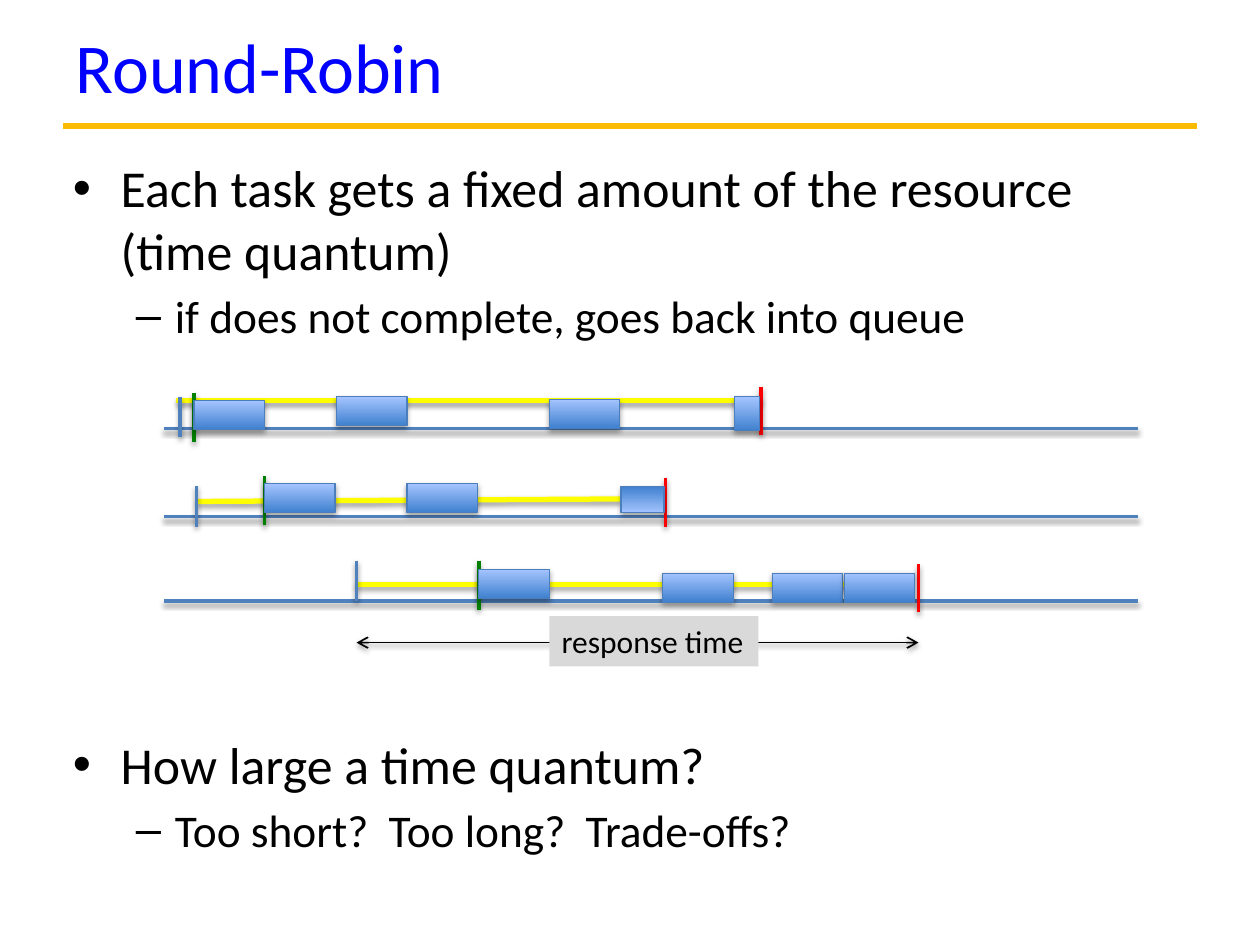
import dataclasses

import lxml.etree
import pptx
import pptx.dml.color
import pptx.enum.dml
import pptx.enum.shapes
import pptx.enum.text
import pptx.oxml.ns
import pptx.util

Inches = pptx.util.Inches
Pt = pptx.util.Pt


@dataclasses.dataclass(frozen=True)
class Theme:
    font: str = "Calibri"
    bullet_font: str = "Arial"
    title: str = "0000FF"
    text: str = "000000"
    rule: str = "FBBA03"
    axis: str = "4F81BD"
    wait: str = "FFFF00"
    start: str = "008000"
    finish: str = "FF0000"
    bar_dark: str = "3F80CE"
    bar_light: str = "A4C4FF"
    bar_line: str = "4B7EBC"
    label_fill: str = "D9D9D9"
    title_size: float = 40
    bullet_size: float = 29.6
    dash_size: float = 25.9
    label_size: float = 18


@dataclasses.dataclass(frozen=True)
class Lane:
    axis: float
    wait: tuple
    arrival: tuple
    start: tuple
    finish: tuple
    bars: tuple


THEME = Theme()
QUANTUM = 0.56
BAR_HEIGHT = 0.23
AXIS_LEFT, AXIS_RIGHT = 1.3, 9.03

LANES = (
    Lane(3.4, (1.4, 3.18, 6.04, 3.18), (1.43, 3.15, 3.47), (1.54, 3.12, 3.51), (6.04, 3.07, 3.45),
         ((1.54, 3.18), (2.67, 3.15), (4.36, 3.17), (5.83, 3.15, 0.2, 0.27))),
    Lane(4.1, (1.56, 3.98, 4.93, 3.96), (1.56, 3.86, 4.18), (2.1, 3.78, 4.17), (5.28, 3.79, 4.18),
         ((4.93, 3.86, 0.34, 0.21, 270), (2.1, 3.84), (3.23, 3.84))),
    Lane(4.77, (2.83, 4.64, 6.84, 4.64), (2.83, 4.45, 4.77), (3.8, 4.45, 4.84), (7.29, 4.48, 4.86),
         ((3.8, 4.52), (5.26, 4.55), (6.13, 4.55), (6.7, 4.55))),
)

BULLETS = (
    (0, "Each task gets a fixed amount of the resource (time quantum)", 4.7),
    (1, "if does not complete, goes back into queue", 4.2),
    (0, "How large a time quantum?", 223),
    (1, "Too short?  Too long?  Trade-offs?", 4.2),
)


def rgb(color):
    return pptx.dml.color.RGBColor.from_string(color)


def add_element(parent, tag, **attributes):
    return lxml.etree.SubElement(parent, pptx.oxml.ns.qn(tag), attributes)


def add_effects(shape, opacity=None):
    effects = add_element(shape.element.spPr, "a:effectLst")
    if opacity:
        shadow = add_element(effects, "a:outerShdw", blurRad=str(Pt(3.1)), dist=str(Pt(1.6)),
                             dir="5400000", rotWithShape="0")
        color = add_element(shadow, "a:srgbClr", val="000000")
        add_element(color, "a:alpha", val=str(opacity * 1000))


def add_line(slide, ends, color, width, opacity=38, arrows=False):
    line = slide.shapes.add_connector(
        pptx.enum.shapes.MSO_CONNECTOR.STRAIGHT, *map(Inches, ends))
    line.line.color.rgb = rgb(color)
    line.line.width = Pt(width)
    if arrows:
        for tag in ("a:headEnd", "a:tailEnd"):
            add_element(line.line._get_or_add_ln(), tag, type="arrow")
    add_effects(line, opacity)


def add_tick(slide, mark, color):
    x, top, bottom = mark
    add_line(slide, (x, top, x, bottom), color, 2)


def add_bar(slide, left, top, width=QUANTUM, height=BAR_HEIGHT, angle=90):
    bar = slide.shapes.add_shape(
        pptx.enum.shapes.MSO_SHAPE.RECTANGLE, *map(Inches, (left, top, width, height)))
    bar.fill.gradient()
    bar.fill.gradient_angle = angle
    for stop, color in zip(bar.fill.gradient_stops, (THEME.bar_dark, THEME.bar_light)):
        stop.color.rgb = rgb(color)
    bar.line.color.rgb = rgb(THEME.bar_line)
    bar.line.width = Pt(0.75)
    add_effects(bar, 35)


def add_run(paragraph, text, size, color=THEME.text):
    run = paragraph.add_run()
    run.text = text
    run.font.name = THEME.font
    run.font.size = Pt(size)
    run.font.color.rgb = rgb(color)


def set_title(slide, text):
    title = slide.shapes.title
    title.left, title.top, title.width, title.height = map(Inches, (0.5, 0.04, 9, 0.96))
    title.text_frame.vertical_anchor = pptx.enum.text.MSO_ANCHOR.MIDDLE
    paragraph = title.text_frame.paragraphs[0]
    paragraph.alignment = pptx.enum.text.PP_ALIGN.LEFT
    add_run(paragraph, text, THEME.title_size, THEME.title)


def add_bullets(slide, bullets):
    styles = ((0.38, -0.38, "•", THEME.bullet_size), (0.81, -0.31, "–", THEME.dash_size))
    frame = slide.shapes.add_textbox(*map(Inches, (0.48, 1.19, 9, 5.55))).text_frame
    frame.word_wrap = True
    for index, (level, text, space) in enumerate(bullets):
        margin, indent, character, size = styles[level]
        paragraph = frame.add_paragraph() if index else frame.paragraphs[0]
        paragraph.level = level
        paragraph.space_before = Pt(space)
        properties = paragraph._p.get_or_add_pPr()
        properties.set("marL", str(Inches(margin)))
        properties.set("indent", str(Inches(indent)))
        add_element(properties, "a:buFont", typeface=THEME.bullet_font)
        add_element(properties, "a:buChar", char=character)
        add_run(paragraph, text, size)


def add_label(slide, text):
    label = slide.shapes.add_textbox(*map(Inches, (4.36, 4.89, 1.66, 0.4)))
    label.fill.solid()
    label.fill.fore_color.rgb = rgb(THEME.label_fill)
    label.text_frame.word_wrap = False
    add_run(label.text_frame.paragraphs[0], text, THEME.label_size)


def add_timeline(slide, lanes):
    for lane in lanes:
        add_line(slide, lane.wait, THEME.wait, 3)
    for lane in lanes:
        add_line(slide, (AXIS_LEFT, lane.axis, AXIS_RIGHT, lane.axis), THEME.axis, 2)
        add_tick(slide, lane.arrival, THEME.axis)
        add_tick(slide, lane.finish, THEME.finish)
        add_tick(slide, lane.start, THEME.start)
    for lane in lanes:
        for bar in lane.bars:
            add_bar(slide, *bar)


def main():
    presentation = pptx.Presentation()
    presentation.slide_width = Inches(10)
    presentation.slide_height = Inches(7.5)
    slide = presentation.slides.add_slide(presentation.slide_layouts[5])
    add_line(slide, (0.5, 1, 9.5, 1), THEME.rule, 3.75, opacity=None)
    set_title(slide, "Round-Robin")
    add_bullets(slide, BULLETS)
    add_timeline(slide, LANES)
    last = LANES[-1]
    add_line(slide, (last.arrival[0], 5.1, last.finish[0], 5.1), THEME.text, 1, arrows=True)
    add_label(slide, "response time")
    presentation.save("out.pptx")


if __name__ == "__main__":
    main()
